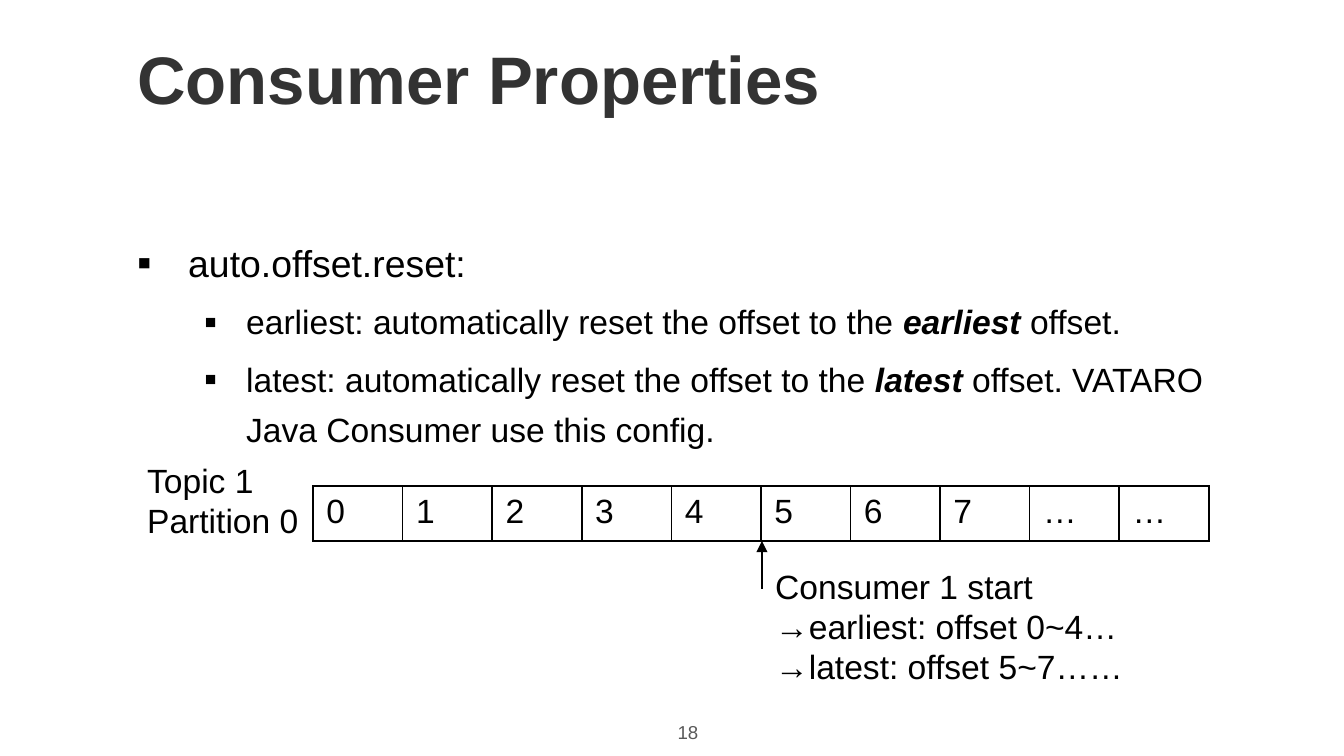
import lxml.etree
import pptx
import pptx.dml.color
import pptx.enum.shapes
import pptx.enum.text
import pptx.oxml.ns
import pptx.util

EMU_PER_PIXEL = 914400 / 134.4


def px(pixels):
    return pptx.util.Emu(round(pixels * EMU_PER_PIXEL))


def color(hex_string):
    return pptx.dml.color.RGBColor.from_string(hex_string)


def xml_child(parent, tag, **attributes):
    return lxml.etree.SubElement(parent, pptx.oxml.ns.qn(tag), attributes)


class SlideBuilder:
    """Holds the text style and the current slide, and adds elements to it."""

    font_name = "Arial"
    ink = "000000"
    text_size = 18

    def __init__(self, presentation):
        self.slide = presentation.slides.add_slide(presentation.slide_layouts[5])

    def style_run(self, run, size=None, ink=None, bold=False, italic=False):
        font = run.font
        font.name = self.font_name
        font.size = pptx.util.Pt(size or self.text_size)
        font.color.rgb = color(ink or self.ink)
        font.bold, font.italic = bold, italic

    def style_frame(self, text_frame, alignment=pptx.enum.text.PP_ALIGN.LEFT, **style):
        for paragraph in text_frame.paragraphs:
            paragraph.alignment = alignment
            for run in paragraph.runs:
                self.style_run(run, **style)

    def title(self, text, left, top, width, height):
        shape = self.slide.shapes.title
        shape.left, shape.top = px(left), px(top)
        shape.width, shape.height = px(width), px(height)
        text_frame = shape.text_frame
        text_frame.text = text
        text_frame.auto_size = pptx.enum.text.MSO_AUTO_SIZE.NONE
        text_frame.vertical_anchor = pptx.enum.text.MSO_ANCHOR.TOP
        self.style_frame(text_frame, size=36, ink="333333", bold=True)

    def text_box(self, text, left, top, width, height, wrap=True, **style):
        shape = self.slide.shapes.add_textbox(px(left), px(top), px(width), px(height))
        shape.text_frame.word_wrap = wrap
        shape.text_frame.text = text
        self.style_frame(shape.text_frame, **style)
        return shape.text_frame

    def bullet_list(self, items, left, top, width, height):
        text_frame = self.text_box("", left, top, width, height)
        for index, (level, parts) in enumerate(items):
            paragraph = text_frame.add_paragraph() if index else text_frame.paragraphs[0]
            size, indent, hanging = ((20, 51, 51), (18, 109, 42))[level]
            paragraph.level = level
            paragraph.line_spacing = 1.25
            paragraph.space_before = pptx.util.Pt(size / 5)
            for text, emphasized in parts:
                run = paragraph.add_run()
                run.text = text
                self.style_run(run, size, bold=emphasized, italic=emphasized)
            properties = paragraph._p.get_or_add_pPr()
            properties.set("marL", str(px(indent)))
            properties.set("indent", str(-px(hanging)))
            xml_child(properties, "a:buSzPct", val="110000")
            xml_child(properties, "a:buFont", typeface=self.font_name)
            xml_child(properties, "a:buChar", char="▪")

    def offset_table(self, offsets, left, top, width, height):
        frame = self.slide.shapes.add_table(
            1, len(offsets), px(left), px(top), px(width), px(height))
        table = frame.table
        table.first_row = table.horz_banding = False
        for cell, offset in zip(table.iter_cells(), offsets):
            cell.text_frame.text = offset
            self.style_frame(cell.text_frame)
            cell.fill.background()
            self.border_cell(cell)

    def border_cell(self, cell):
        properties = cell._tc.get_or_add_tcPr()
        for index, side in enumerate("LRTB"):
            line = xml_child(properties, f"a:ln{side}", w=str(pptx.util.Pt(1)))
            xml_child(xml_child(line, "a:solidFill"), "a:srgbClr", val=self.ink)
            properties.insert(index, line)

    def arrow(self, start_x, start_y, end_x, end_y):
        connector = self.slide.shapes.add_connector(
            pptx.enum.shapes.MSO_CONNECTOR.STRAIGHT,
            px(start_x), px(start_y), px(end_x), px(end_y))
        connector.line.color.rgb = color(self.ink)
        connector.line.width = pptx.util.Pt(0.75)
        xml_child(connector.line._get_or_add_ln(), "a:tailEnd", type="triangle")
        xml_child(connector._element.spPr, "a:effectLst")


def main():
    presentation = pptx.Presentation()
    presentation.slide_width, presentation.slide_height = px(1344), px(756)
    builder = SlideBuilder(presentation)

    builder.bullet_list([
        (0, [("auto.offset.reset:", False)]),
        (1, [("earliest: automatically reset the offset to the ", False),
             ("earliest", True), (" offset.", False)]),
        (1, [("latest: automatically reset the offset to the ", False),
             ("latest ", True),
             ("offset. VATARO Java Consumer use this config.", False)]),
    ], 124, 222, 1165, 515)
    builder.title("Consumer Properties", 124, 31, 1165, 95)
    builder.text_box("18", 649, 714, 78, 42, size=10, ink="595959",
                     alignment=pptx.enum.text.PP_ALIGN.CENTER)
    builder.offset_table([*"01234567", "…", "…"], 313, 486, 896, 55)
    builder.arrow(762, 589, 762, 541)
    builder.text_box("Consumer 1 start\n→earliest: offset 0~4…\n→latest: offset 5~7……",
                     762, 559, 386, 136, wrap=False)
    builder.text_box("Topic 1\nPartition 0", 134, 453, 202, 95)
    presentation.save("out.pptx")


if __name__ == "__main__":
    main()
